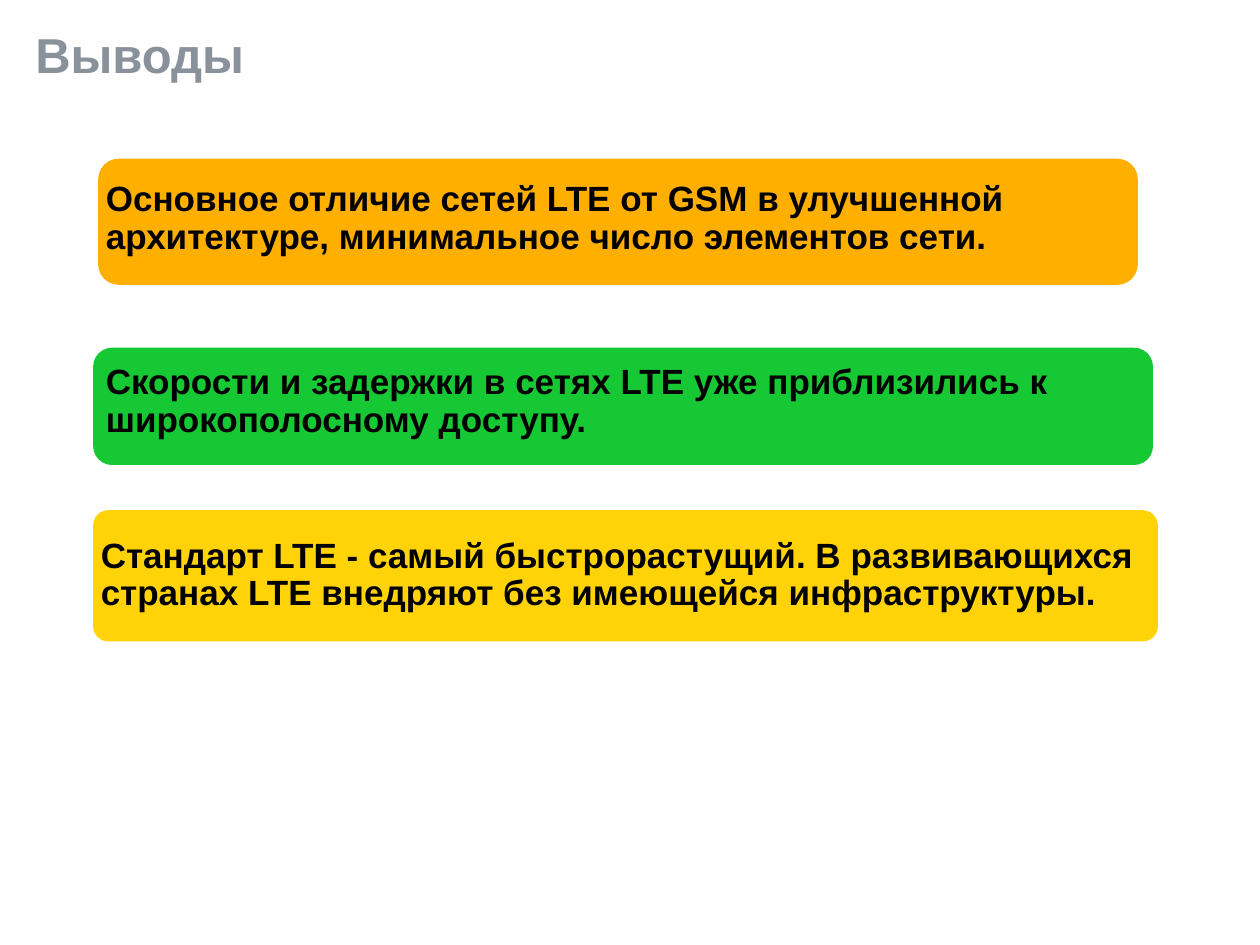
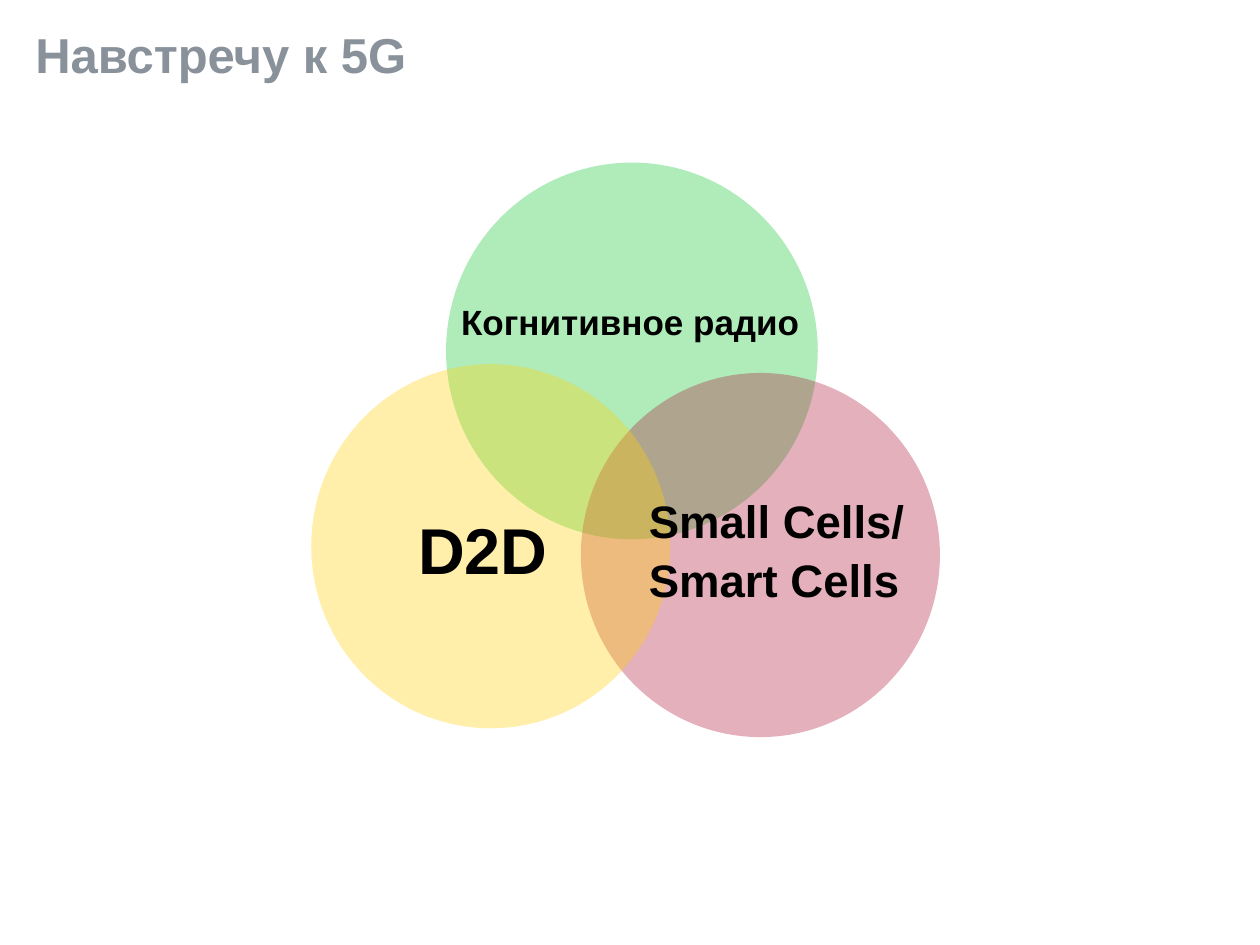
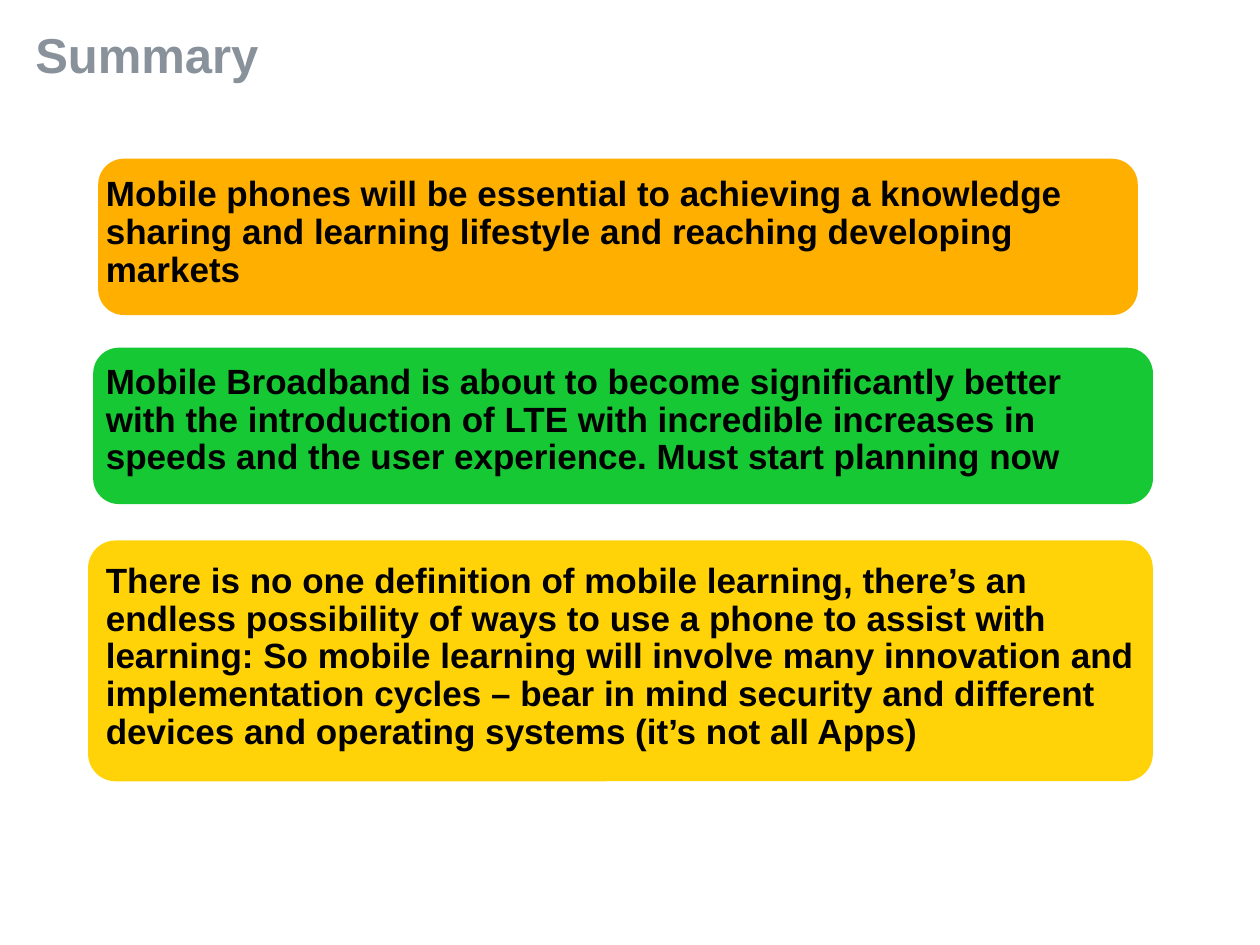
import pptx
import pptx.util
import pptx.dml.color
import pptx.enum.shapes
import pptx.enum.text
import pptx.oxml.ns
import lxml.etree


class Theme:
    font = "Arial"
    grey = "89929B"
    black = "000000"
    orange = "FFAF00"
    green = "16C834"
    yellow = "FFD308"
    red = "AF193A"
    title = 28
    body = 20
    cell = 26
    large = 37
    edge = 1.5
    lines = 0.9
    alpha = 34


deck = pptx.Presentation()
deck.slide_width = pptx.util.Inches(10)
deck.slide_height = pptx.util.Inches(7.5)
unit = deck.slide_width / 100
layout = deck.slide_layouts[5]
kinds = pptx.enum.shapes.MSO_SHAPE
fits = pptx.enum.text.MSO_AUTO_SIZE


def draw(slide, kind, box, hue):
    shape = slide.shapes.add_shape(kind, *[round(n * unit) for n in box])
    shape.shadow.inherit = False
    shape.fill.solid()
    shape.fill.fore_color.rgb = pptx.dml.color.RGBColor.from_string(hue)
    return shape


def style(shape, text, size, hue, inset, wrap, fit, gap=0):
    frame = shape.text_frame
    frame.text = text
    frame.margin_left = frame.margin_right = pptx.util.Inches(inset)
    frame.margin_top = frame.margin_bottom = pptx.util.Inches(inset)
    frame.word_wrap = wrap
    frame.auto_size = fit
    frame.vertical_anchor = pptx.enum.text.MSO_ANCHOR.TOP
    for rank, para in enumerate(frame.paragraphs):
        para.alignment = pptx.enum.text.PP_ALIGN.LEFT
        para.line_spacing = Theme.lines
        para.space_before = pptx.util.Pt(gap if rank else 0)
        for run in para.runs:
            run.font.name = Theme.font
            run.font.size = pptx.util.Pt(size)
            run.font.bold = True
            run.font.color.rgb = pptx.dml.color.RGBColor.from_string(hue)


tints = [Theme.orange, Theme.green, Theme.yellow]
bands = {
    "Выводы": [
        ((7.9, 12.7, 82.3, 9.8), 0.155, (7.9, 13.9, 81.5, 7),
         "Основное отличие сетей LTE от GSM в улучшенной архитектуре, "
         "минимальное число элементов сети."),
        ((7.5, 27.7, 83.9, 9.1), 0.153, (7.9, 28.4, 80.7, 7),
         "Скорости и задержки в сетях LTE уже приблизились к "
         "широкополосному доступу."),
        ((7.5, 40.6, 84.3, 10.2), 0.108, (7.5, 42.2, 84.3, 7),
         "Стандарт LTE - самый быстрорастущий. В развивающихся странах "
         "LTE внедряют без имеющейся инфраструктуры."),
    ],
    "Навстречу к 5G": [],
    "Summary": [
        ((7.9, 12.7, 82.3, 12.2), 0.159, (7.9, 13.5, 83.1, 9.9),
         "Mobile phones will be essential to achieving a knowledge sharing "
         "and learning lifestyle and reaching developing markets"),
        ((7.5, 27.7, 83.9, 12.2), 0.159, (7.9, 28.4, 80.7, 9.9),
         "Mobile Broadband is about to become significantly better with the "
         "introduction of LTE with incredible increases in speeds and the "
         "user experience. Must start planning now"),
        ((7.1, 43, 84.3, 18.9), 0.11, (7.9, 44.2, 84.3, 15.7),
         "There is no one definition of mobile learning, there’s an endless "
         "possibility of ways to use a phone to assist with learning: So "
         "mobile learning will involve many innovation and implementation "
         "cycles – bear in mind security and different devices and operating "
         "systems (it’s not all Apps)"),
    ],
}
rings = [
    ((35.4, 12.9, 29.5, 29.9), Theme.green),
    ((46.1, 29.6, 28.5, 28.9), Theme.red),
    ((24.7, 28.9, 28.5, 28.9), Theme.yellow),
]
labels = [
    ((36.1, 23.7, 28, 4.2), "Когнитивное радио", Theme.body),
    ((51, 39.1, 22.4, 10), "Small Cells/\nSmart Cells", Theme.cell),
    ((32.7, 40.7, 11.4, 6.7), "D2D", Theme.large),
]

for name, rows in bands.items():
    slide = deck.slides.add_slide(layout)
    title = slide.shapes.title
    title.left, title.top, title.width, title.height = [
        round(n * unit) for n in (2.8, 2.5, 94.4, 9)]
    style(title, name, Theme.title, Theme.grey, 0, True, fits.NONE)

    for (box, bend, area, text), tint in zip(rows, tints):
        band = draw(slide, kinds.ROUNDED_RECTANGLE, box, tint)
        band.adjustments[0] = bend
        band.line.color.rgb = pptx.dml.color.RGBColor.from_string(tint)
        band.line.width = pptx.util.Pt(Theme.edge)
        note = slide.shapes.add_textbox(*[round(n * unit) for n in area])
        style(note, text, Theme.body, Theme.black, 0.05, True,
              fits.SHAPE_TO_FIT_TEXT)

venn = deck.slides[1]
for box, hue in rings:
    ring = draw(venn, kinds.OVAL, box, hue)
    ring.line.fill.background()
    color = ring.fill._xPr.find(".//" + pptx.oxml.ns.qn("a:srgbClr"))
    alpha = lxml.etree.SubElement(color, pptx.oxml.ns.qn("a:alpha"))
    alpha.set("val", str(Theme.alpha * 1000))

for area, text, size in labels:
    label = venn.shapes.add_textbox(*[round(n * unit) for n in area])
    style(label, text, size, Theme.black, 0.05, False,
          fits.SHAPE_TO_FIT_TEXT, 6)

deck.save("out.pptx")
